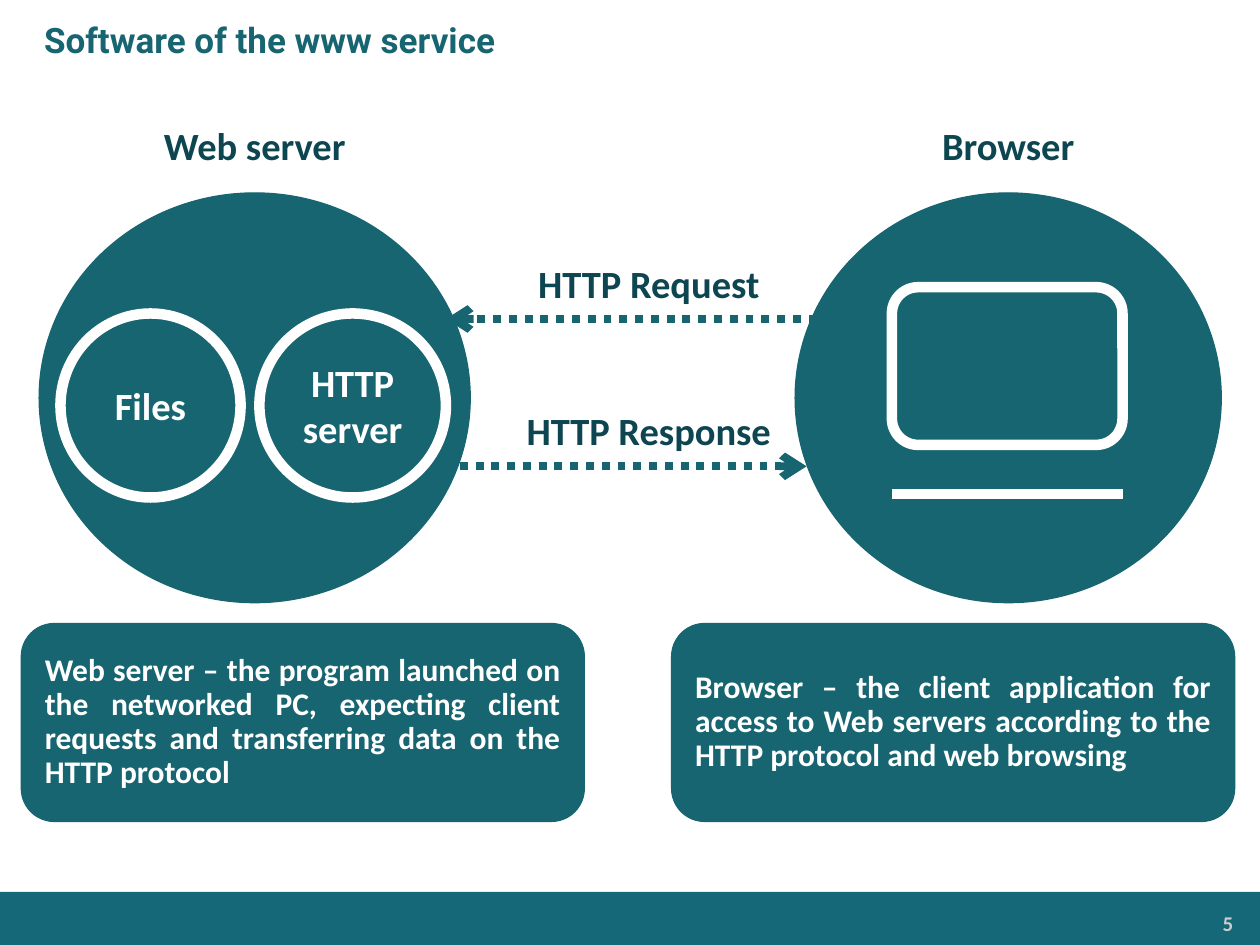
from lxml import etree
from pptx import Presentation
from pptx.dml.color import RGBColor
from pptx.enum.dml import MSO_LINE
from pptx.enum.shapes import MSO_CONNECTOR, MSO_SHAPE
from pptx.enum.text import MSO_ANCHOR, PP_ALIGN
from pptx.oxml.ns import qn
from pptx.util import Cm, Pt

STRAIGHT = MSO_CONNECTOR.STRAIGHT
OVAL = MSO_SHAPE.OVAL
RECTANGLE = MSO_SHAPE.RECTANGLE
ROUNDED = MSO_SHAPE.ROUNDED_RECTANGLE
NOTE_SHAPE = MSO_SHAPE.FLOWCHART_ALTERNATE_PROCESS
DOTTED = MSO_LINE.ROUND_DOT
MIDDLE, TOP = MSO_ANCHOR.MIDDLE, MSO_ANCHOR.TOP
LEFT, CENTER = PP_ALIGN.LEFT, PP_ALIGN.CENTER
RIGHT, JUSTIFY = PP_ALIGN.RIGHT, PP_ALIGN.JUSTIFY

TEAL, DARK_TEAL, FOOTER_TEAL = "176571", "0D4650", "146878"
WHITE, GREY = "FFFFFF", "CCCCCC"


def color(value):
    return RGBColor.from_string(value)


def write(shape, text, size, text_color, alignment=CENTER, anchor=MIDDLE,
          font="Calibri", wrap=True):
    frame = shape.text_frame
    frame.word_wrap = wrap
    frame.vertical_anchor = anchor
    paragraph = frame.paragraphs[0]
    paragraph.text = text
    paragraph.alignment = alignment
    paragraph.font.name = font
    paragraph.font.size = Pt(size)
    paragraph.font.bold = True
    paragraph.font.color.rgb = color(text_color)
    return paragraph


def add_text(slide, box, text, size, text_color, **options):
    shape = slide.shapes.add_textbox(*map(Cm, box))
    write(shape, text, size, text_color, **options)
    return shape


def add_panel(slide, kind, box, fill=TEAL, line=TEAL, line_width=0.75):
    shape = slide.shapes.add_shape(kind, *map(Cm, box))
    shape.shadow.inherit = False
    if fill:
        shape.fill.solid()
        shape.fill.fore_color.rgb = color(fill)
    else:
        shape.fill.background()
    if line:
        shape.line.color.rgb = color(line)
        shape.line.width = Pt(line_width)
    else:
        shape.line.fill.background()
    return shape


def add_line(slide, start_x, end_x, y, line_color, line_width):
    connector = slide.shapes.add_connector(
        STRAIGHT, Cm(start_x), Cm(y), Cm(end_x), Cm(y))
    connector.line.color.rgb = color(line_color)
    connector.line.width = Pt(line_width)
    etree.SubElement(connector._element.spPr, qn("a:effectLst"))
    return connector


def add_label(slide, center_x, top, width, text):
    add_text(slide, (center_x - width / 2, top, width, 1.19), text, 22,
             DARK_TEAL, anchor=TOP, wrap=False)


def add_footer(slide, left, top, width, height, number):
    add_panel(slide, RECTANGLE, (left, top, width, height), FOOTER_TEAL, None)
    page = add_text(slide, (left + 20.9, top + 0.28, 4.14, 0.71), number, 12,
                    GREY, alignment=RIGHT, anchor=TOP)
    frame = page.text_frame
    frame.margin_left = frame.margin_right = Cm(0.18)
    frame.margin_top = frame.margin_bottom = Cm(0.1)


def add_title(slide, box, text):
    title = add_text(slide, box, text, 20, TEAL, alignment=LEFT, font="Roboto")
    title.text_frame.margin_left = Cm(0.89)


def add_server(slide, left, top, width, height):
    add_label(slide, left + width / 2, top - 1.55, 4.22, "Web server")
    add_panel(slide, OVAL, (left, top, width, height))
    for offset, part_width, text in ((0.43, 3.63, "Files"),
                                     (4.44, 3.76, "HTTP server")):
        part = add_panel(slide, OVAL,
                         (left + offset, top + 2.43, part_width, 3.71),
                         line=WHITE, line_width=6)
        write(part, text, 22, WHITE)


def add_browser(slide, left, top, width, height):
    screen_left, screen_width = left + 1.95, 4.65
    add_label(slide, left + width / 2, top - 1.55, 3.2, "Browser")
    add_panel(slide, OVAL, (left, top, width, height))
    add_panel(slide, ROUNDED, (screen_left, top + 1.9, screen_width, 3.18),
              None, WHITE, 6)
    add_line(slide, screen_left, screen_left + screen_width, top + 6.07,
             WHITE, 6)


def add_message(slide, start_x, end_x, y, text, label_width):
    arrow = add_line(slide, start_x, end_x, y, TEAL, 4.5)
    arrow.line.dash_style = DOTTED
    etree.SubElement(arrow.line._get_or_add_ln(), qn("a:tailEnd"), type="arrow")
    add_label(slide, 13.08, y - 1.32, label_width, text)


def add_note(slide, box, text):
    note = add_panel(slide, NOTE_SHAPE, box)
    paragraph = write(note, text, 18, WHITE, alignment=JUSTIFY)
    paragraph.line_spacing = 0.9
    frame = note.text_frame
    frame.margin_left = frame.margin_right = Cm(0.28)
    frame.margin_top = frame.margin_bottom = Cm(0.28)


def main():
    presentation = Presentation()
    presentation.slide_width = Cm(25.4)
    presentation.slide_height = Cm(19.05)
    slide = presentation.slides.add_slide(presentation.slide_layouts[6])

    add_footer(slide, 0, 17.98, 25.4, 1.07, "5")
    add_title(slide, (0, 0, 25.4, 1.6), "Software of the www service")
    add_server(slide, 0.79, 3.89, 8.69, 8.26)
    add_browser(slide, 16.03, 3.89, 8.59, 8.26)
    add_message(slide, 16.46, 8.99, 6.43, "HTTP Request", 5.03)
    add_message(slide, 9.27, 16.26, 9.4, "HTTP Response", 5.49)

    add_note(slide, (0.43, 12.57, 11.35, 3.99),
             "Web server – the program launched on the networked PC, "
             "expecting client requests and transferring data on the "
             "HTTP protocol")
    add_note(slide, (13.54, 12.57, 11.35, 3.99),
             "Browser – the client application for access to Web servers "
             "according to the HTTP protocol and web browsing")
    presentation.save("out.pptx")


if __name__ == "__main__":
    main()
